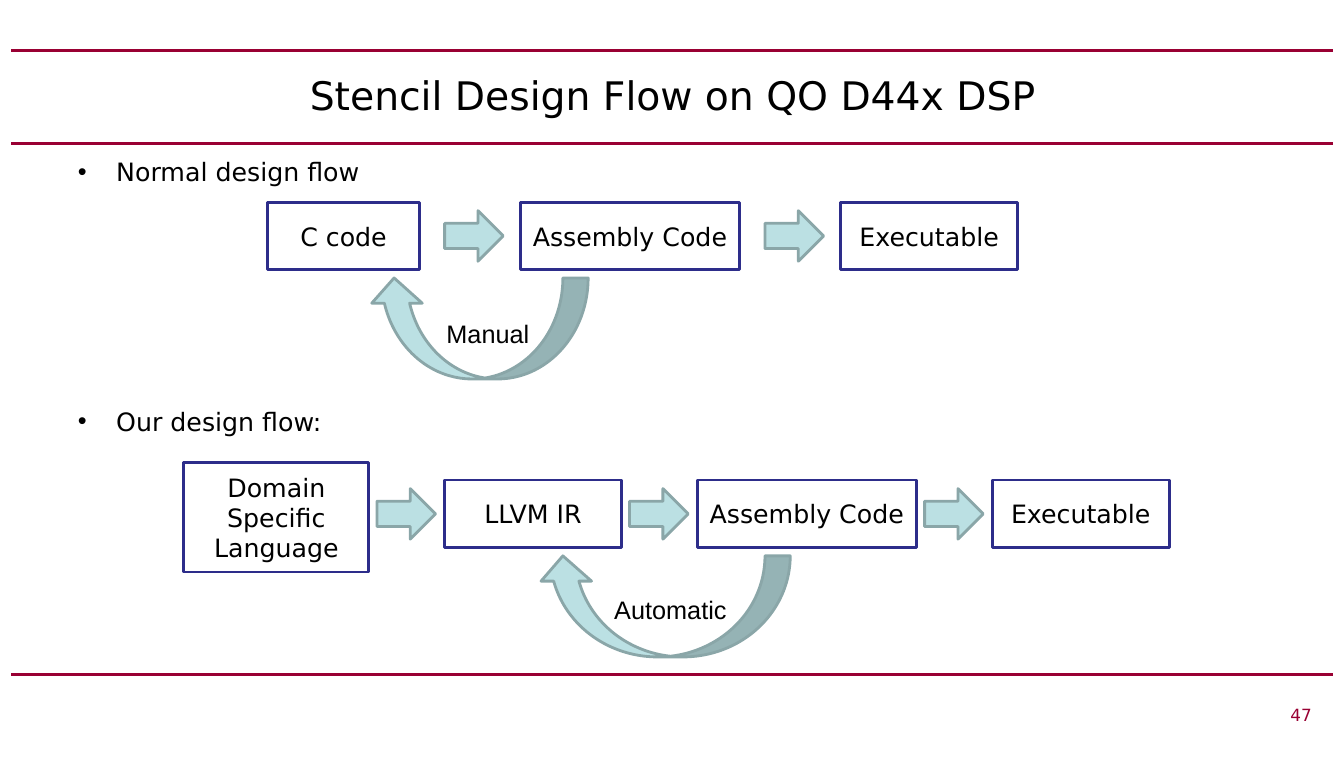
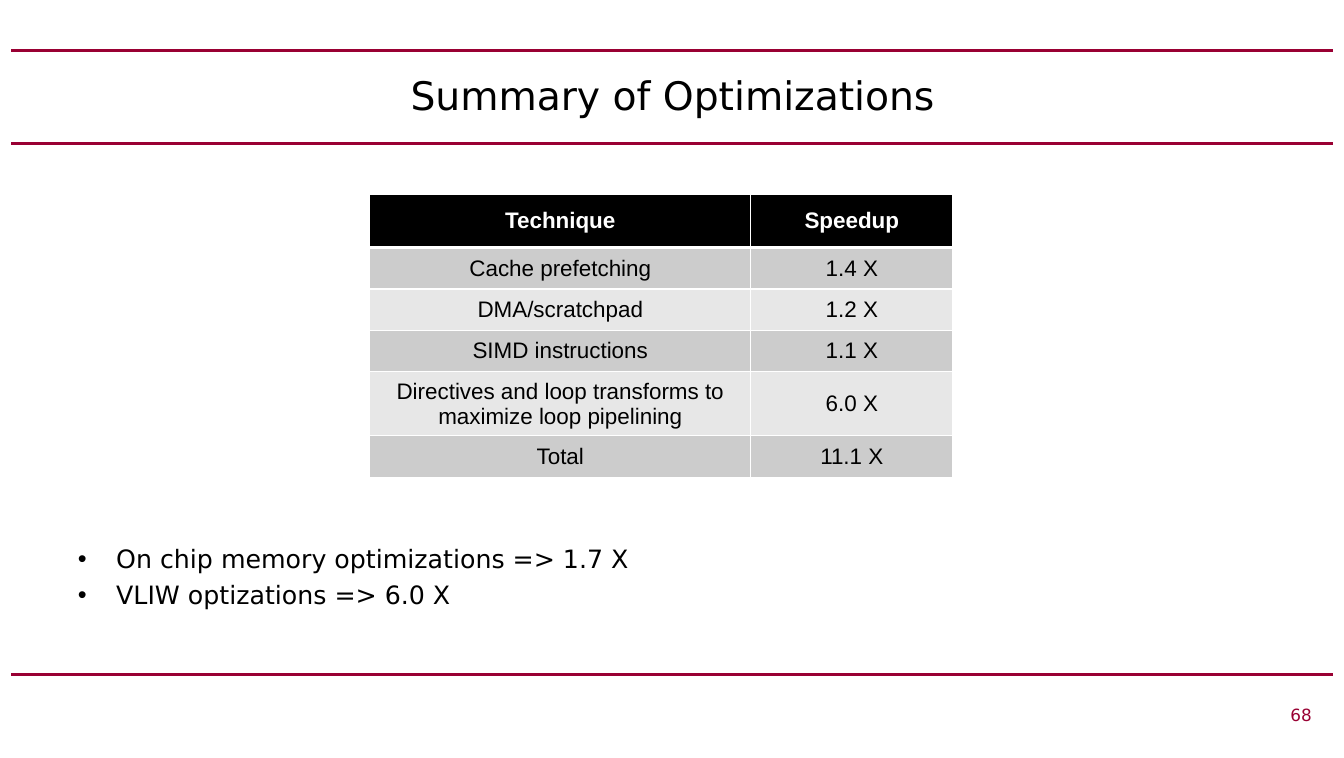
import pptx
import pptx.util
import pptx.dml.color
import pptx.enum.shapes
import pptx.enum.text
import pptx.oxml
import pptx.oxml.ns
from lxml import etree

Inches = pptx.util.Inches
Pt = pptx.util.Pt
SHAPE = pptx.enum.shapes.MSO_SHAPE
ALIGN = pptx.enum.text.PP_ALIGN
MIDDLE = pptx.enum.text.MSO_ANCHOR.MIDDLE
qn = pptx.oxml.ns.qn

COLORS = {
    "rule": "990033", "text": "000000", "paper": "FFFFFF",
    "box_line": "2D2D8A", "arrow": "BBE0E3", "arrow_line": "8AA6A8",
    "header": "000000", "odd_row": "CCCCCC", "even_row": "E7E7E7",
}
SANS, ARIAL = "DejaVu Sans", "Arial"

RULE_TOPS = (0.5, 1.42, 6.67)
RULE_LEFT, RULE_RIGHT = 0.11, 13.19
TITLE_AREA = (0.67, 0.5, 11.97, 0.87)
BODY_AREA = (0.67, 1.5, 11.97, 5.08)
NUMBER_AREA = (12.08, 6.92, 1, 0.33)

BOX_HEIGHT = 0.67
ARROW_WIDTH, ARROW_HEIGHT = 0.58, 0.5

FLOW_TITLE, FLOW_NUMBER = "Stencil Design Flow on QO D44x DSP", "47"
FLOW_POINTS = ["Normal design flow", "Our design flow:"]
FLOW_POINT_GAP = 156
FLOWS = [
    {"left": 2.65, "top": 2, "gap": 1, "lead": 0.25,
     "steps": [("C code", 1.5), ("Assembly Code", 2.17), ("Executable", 1.75)],
     "loop": (3.65, 2.75, 2.17, 1),
     "loop_label": ("Manual", 4.32, 3.1, 1.17, 0.4)},
    {"left": 1.82, "top": 4.75, "gap": 0.75, "lead": 0.08,
     "steps": [("Domain Specific Language", 1.83), ("LLVM IR", 1.75),
               ("Assembly Code", 2.17), ("Executable", 1.75)],
     "loop": (5.32, 5.5, 2.5, 1),
     "loop_label": ("Automatic", 5.98, 5.83, 1.42, 0.4)},
]
TALL_STEPS = {"Domain Specific Language": (4.58, 1.08)}

SUMMARY_TITLE, SUMMARY_NUMBER = "Summary of Optimizations", "68"
SUMMARY_POINTS = ["On chip memory optimizations => 1.7 X", "VLIW optizations => 6.0 X"]
SUMMARY_POINT_GAP = 3.6
SUMMARY_AREA = (0.67, 5.33, 11.97, 1.25)
SPEEDUPS = [
    ("Technique", "Speedup"),
    ("Cache prefetching", "1.4 X"),
    ("DMA/scratchpad", "1.2 X"),
    ("SIMD instructions", "1.1 X"),
    ("Directives and loop transforms to maximize loop pipelining", "6.0 X"),
    ("Total", "11.1 X"),
]
SPEEDUP_LEFT, SPEEDUP_TOP = 3.66, 1.92
COLUMN_WIDTHS = (3.77, 2)
ROW_HEIGHTS = (0.53, 0.41, 0.41, 0.41, 0.63, 0.41)


def rgb(name):
    return pptx.dml.color.RGBColor.from_string(COLORS[name])


def inches(area):
    return [Inches(length) for length in area]


def place(shape, area):
    shape.left, shape.top, shape.width, shape.height = inches(area)


def style(paragraph, size, font=SANS, color="text", align=ALIGN.LEFT, bold=False):
    paragraph.alignment = align
    paragraph.font.size = Pt(size)
    paragraph.font.name = font
    paragraph.font.bold = bold
    paragraph.font.color.rgb = rgb(color)


def add_label(slide, text, area, size, **look):
    frame = slide.shapes.add_textbox(*inches(area)).text_frame
    frame.word_wrap = True
    frame.text = text
    style(frame.paragraphs[0], size, **look)


def add_figure(slide, preset, area, fill, line):
    figure = slide.shapes.add_shape(preset, *inches(area))
    figure.shadow.inherit = False
    figure.fill.solid()
    figure.fill.fore_color.rgb = rgb(fill)
    figure.line.color.rgb = rgb(line)
    figure.line.width = Pt(2)
    return figure


def add_points(body, points, gap):
    frame = body.text_frame
    frame.auto_size = pptx.enum.text.MSO_AUTO_SIZE.NONE
    frame.text = "\n".join(points)
    for index, paragraph in enumerate(frame.paragraphs):
        properties = paragraph._p.get_or_add_pPr()
        properties.set("marL", str(Inches(0.38)))
        properties.set("indent", str(-Inches(0.38)))
        etree.SubElement(properties, qn("a:buFont"), typeface=ARIAL)
        etree.SubElement(properties, qn("a:buChar"), char="•")
        paragraph.space_before = Pt(gap if index else 0)
        style(paragraph, 18)


def add_rules(slide, master):
    for index, top in enumerate(RULE_TOPS):
        rule = slide.shapes.add_connector(
            pptx.enum.shapes.MSO_CONNECTOR.STRAIGHT,
            *inches((RULE_LEFT, top, RULE_RIGHT, top)))
        rule.line.color.rgb = rgb("rule")
        rule.line.width = Pt(2.25)
        etree.SubElement(rule.element.spPr, qn("a:effectLst"))
        rule.element.xpath("./p:nvCxnSpPr/p:cNvPr")[0].set("id", str(20 + index))
        master.shapes.element.append(rule.element)


def add_page(deck, title, number, points, gap):
    slide = deck.slides.add_slide(deck.slide_layouts[1])
    heading, body = slide.placeholders
    place(heading, TITLE_AREA)
    place(body, BODY_AREA)
    heading.text_frame.text = title
    heading.text_frame.vertical_anchor = MIDDLE
    style(heading.text_frame.paragraphs[0], 28, align=ALIGN.CENTER)
    add_points(body, points, gap)
    add_label(slide, number, NUMBER_AREA, 12, color="rule", align=ALIGN.RIGHT)
    return slide


def add_flow(slide, flow):
    left = flow["left"]
    arrow_top = flow["top"] + (BOX_HEIGHT - ARROW_HEIGHT) / 2
    for index, (step, width) in enumerate(flow["steps"]):
        if index:
            arrow_left = left - flow["gap"] + flow["lead"]
            add_figure(slide, SHAPE.RIGHT_ARROW,
                       (arrow_left, arrow_top, ARROW_WIDTH, ARROW_HEIGHT),
                       "arrow", "arrow_line")
        top, height = TALL_STEPS.get(step, (flow["top"], BOX_HEIGHT))
        box = add_figure(slide, SHAPE.RECTANGLE, (left, top, width, height),
                         "paper", "box_line")
        box.text_frame.word_wrap = True
        box.text_frame.vertical_anchor = MIDDLE
        box.text_frame.text = step
        style(box.text_frame.paragraphs[0], 18, align=ALIGN.CENTER)
        left += width + flow["gap"]
    loop = add_figure(slide, SHAPE.CURVED_DOWN_ARROW, flow["loop"], "arrow", "arrow_line")
    loop.rotation = 180
    label, *area = flow["loop_label"]
    add_label(slide, label, area, 18, font=ARIAL)


def set_borders(cell, row):
    properties = cell._tc.get_or_add_tcPr()
    heavy_edge = {0: "lnB", 1: "lnT"}.get(row)
    for edge in ("lnL", "lnR", "lnT", "lnB"):
        width = Pt(3 if edge == heavy_edge else 1)
        border = etree.SubElement(properties, qn("a:" + edge), w=str(width))
        fill = etree.SubElement(border, qn("a:solidFill"))
        etree.SubElement(fill, qn("a:srgbClr"), val=COLORS["paper"])


def add_speedups(slide):
    area = (SPEEDUP_LEFT, SPEEDUP_TOP, sum(COLUMN_WIDTHS), sum(ROW_HEIGHTS))
    speedups = slide.shapes.add_table(
        len(SPEEDUPS), len(COLUMN_WIDTHS), *inches(area)).table
    for column, width in zip(speedups.columns, COLUMN_WIDTHS):
        column.width = Inches(width)
    for row, (texts, height) in enumerate(zip(SPEEDUPS, ROW_HEIGHTS)):
        speedups.rows[row].height = Inches(height)
        is_header = row == 0
        fill = "header" if is_header else "odd_row" if row % 2 else "even_row"
        for column, text in enumerate(texts):
            cell = speedups.cell(row, column)
            set_borders(cell, row)
            cell.fill.solid()
            cell.fill.fore_color.rgb = rgb(fill)
            cell.margin_left = cell.margin_right = Inches(0.13)
            cell.vertical_anchor = MIDDLE
            cell.text = text
            style(cell.text_frame.paragraphs[0], 16, font=ARIAL, bold=is_header,
                  color="paper" if is_header else "text", align=ALIGN.CENTER)


def main():
    deck = pptx.Presentation()
    deck.slide_width, deck.slide_height = Inches(13.3), Inches(7.5)

    design_flow = add_page(deck, FLOW_TITLE, FLOW_NUMBER, FLOW_POINTS, FLOW_POINT_GAP)
    add_rules(design_flow, deck.slide_master)
    for flow in FLOWS:
        add_flow(design_flow, flow)

    summary = add_page(deck, SUMMARY_TITLE, SUMMARY_NUMBER, SUMMARY_POINTS,
                       SUMMARY_POINT_GAP)
    place(summary.placeholders[1], SUMMARY_AREA)
    add_speedups(summary)

    deck.save("out.pptx")


if __name__ == "__main__":
    main()
